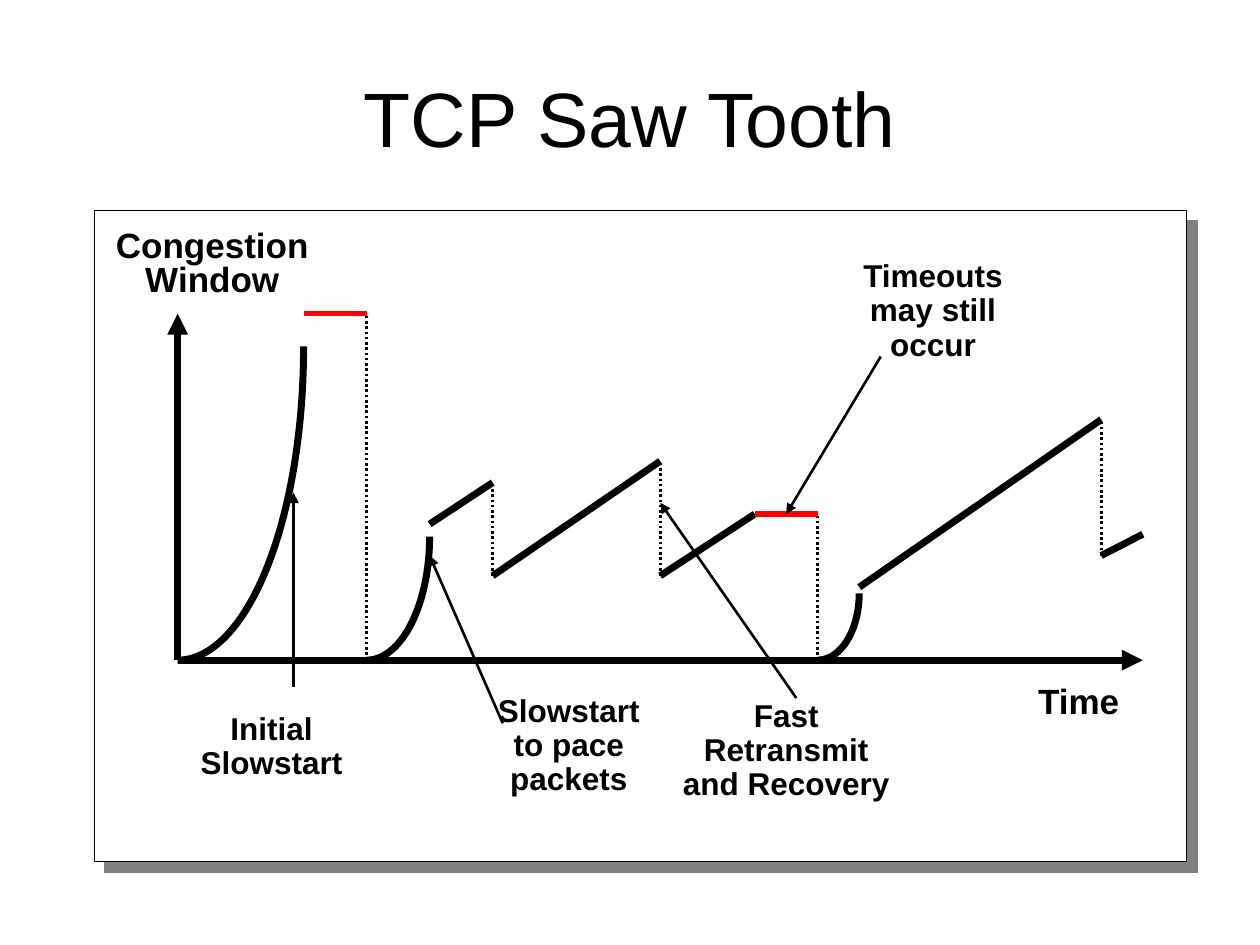
from lxml.etree import SubElement
from pptx import Presentation
from pptx.dml.color import RGBColor
from pptx.enum.dml import MSO_LINE
from pptx.enum.shapes import MSO_CONNECTOR, MSO_SHAPE
from pptx.enum.text import MSO_ANCHOR, MSO_AUTO_SIZE, PP_ALIGN
from pptx.oxml.ns import qn
from pptx.util import Inches, Pt

BLACK, RED, WHITE, GRAY = "000000", "FF0000", "FFFFFF", "808080"

# Time and window lengths are inches from the origin of the plot.
AXIS_TIME, AXIS_WINDOW = 7.66, 2.75
SLOWSTARTS = [(0, 1, 2.49), (1.5, 0.5, 0.98), (5.08, 0.33, 0.53)]  # start, duration, rise
GROWTH = [
    ((2, 1.08), (2.5, 1.41)),
    ((2.5, 0.67), (3.83, 1.58)),
    ((3.83, 0.67), (4.58, 1.16)),
    ((5.41, 0.58), (7.33, 1.91)),
    ((7.33, 0.83), (7.66, 1)),
]
TIMEOUTS = [((1, 2.75), (1.5, 2.75)), ((4.58, 1.16), (5.08, 1.16))]
DROPS = [(1.5, 2.75, 0), (2.5, 1.41, 0.67), (3.83, 1.58, 0.67),
         (5.08, 1.16, 0), (7.33, 1.91, 0.83)]  # time, window before, window after
CALLOUTS = [  # lines, text corner, text size, arrow start, arrow end
    (["Initial", "Slowstart"], (0.08, -0.37), (1.33, 0.64), (0.92, -0.21), (0.92, 1.33)),
    (["Slowstart", "to pace", "packets"], (2.44, -0.23), (1.33, 0.91), (2.58, -0.5), (2, 0.83)),
    (["Fast", "Retransmit", "and Recovery"], (3.91, -0.27), (1.84, 0.91), (4.91, -0.3), (3.83, 1.25)),
    (["Timeouts", "may still", "occur"], (5.34, 3.22), (1.31, 0.91), (5.58, 2.41), (4.83, 1.16)),
]


def color(hex_string):
    return RGBColor.from_string(hex_string)


def write(frame, lines, size, bold=False, align=PP_ALIGN.CENTER, spacing=1.0,
          anchor=MSO_ANCHOR.TOP, wrap=False):
    frame.word_wrap = wrap
    frame.auto_size = MSO_AUTO_SIZE.NONE
    frame.vertical_anchor = anchor
    for index, line in enumerate(lines):
        paragraph = frame.paragraphs[0] if index == 0 else frame.add_paragraph()
        paragraph.text = line
        paragraph.alignment = align
        paragraph.line_spacing = spacing
        font = paragraph.font
        font.name, font.size, font.bold = "Arial", Pt(size), bold
        font.color.rgb = color(BLACK)


def add_label(slide, lines, corner, extent, size, **text_format):
    box = slide.shapes.add_textbox(*map(Inches, corner + extent))
    write(box.text_frame, lines, size, bold=True, **text_format)


def add_line(slide, start, end, width, stroke=BLACK, dotted=False, arrow=False):
    connector = slide.shapes.add_connector(
        MSO_CONNECTOR.STRAIGHT, *map(Inches, start + end))
    connector.line.color.rgb = color(stroke)
    connector.line.width = Pt(width)
    if dotted:
        connector.line.dash_style = MSO_LINE.ROUND_DOT
    properties = connector._element.spPr
    if arrow:
        SubElement(properties.find(qn("a:ln")), qn("a:tailEnd"), type="triangle")
    SubElement(properties, qn("a:effectLst"))


def add_title(slide, left, top, width, height):
    title = slide.shapes.title
    title.left, title.top, title.width, title.height = map(
        Inches, (left, top, width, height))
    write(title.text_frame, ["TCP Saw Tooth"], 44, anchor=MSO_ANCHOR.MIDDLE, wrap=True)


def add_panel(slide, left, top, width, height):
    panel = slide.shapes.add_shape(
        MSO_SHAPE.RECTANGLE, *map(Inches, (left, top, width, height)))
    panel.fill.solid()
    panel.fill.fore_color.rgb = color(WHITE)
    panel.line.color.rgb = color(BLACK)
    panel.line.width = Pt(0.75)
    panel.shadow.inherit = False
    effects = panel._element.spPr.find(qn("a:effectLst"))
    shadow = SubElement(effects, qn("a:outerShdw"), blurRad="0", dist=str(Pt(8.5)),
                        dir="2700000", algn="tl", rotWithShape="0")
    SubElement(shadow, qn("a:srgbClr"), val=GRAY)


def add_slowstart(slide, left, top, width, height):
    """Draw the lower right quarter of an ellipse, run on a little past its side."""
    curve = slide.shapes.add_shape(
        MSO_SHAPE.ARC, *map(Inches, (left, top, width, height)))
    degree = 0.6  # one degree in adjustment units
    curve.adjustments[0] = -6 * degree
    curve.adjustments[1] = 90 * degree
    curve.fill.background()
    curve.line.color.rgb = color(BLACK)
    curve.line.width = Pt(4)
    curve.shadow.inherit = False


def add_saw_tooth(slide, left, top):
    """Plot the congestion window over time inside the panel at left, top."""
    def at(point):
        time, window = point
        return left + 0.66 + time, top + 3.57 - window

    for end in ((0, AXIS_WINDOW), (AXIS_TIME, 0)):
        add_line(slide, at((0, 0)), at(end), 4, arrow=True)
    add_label(slide, ["Time"], at((6.73, -0.1)), (0.85, 0.43), 20, align=PP_ALIGN.LEFT)
    add_label(slide, ["Congestion", "Window"], at((-0.59, 3.45)), (1.73, 0.63), 20,
              spacing=0.8)

    for start, end in GROWTH:
        add_line(slide, at(start), at(end), 4)
    for time, before, after in DROPS:
        add_line(slide, at((time, after)), at((time, before)), 1.5, dotted=True)
    for start, duration, rise in SLOWSTARTS:
        add_slowstart(slide, *at((start - duration, 2 * rise)), 2 * duration, 2 * rise)
    for start, end in TIMEOUTS:
        add_line(slide, at(start), at(end), 3, stroke=RED)
    for lines, corner, extent, start, end in CALLOUTS:
        add_line(slide, at(start), at(end), 1.5, arrow=True)
        add_label(slide, lines, at(corner), extent, 18, spacing=0.9)


def main():
    presentation = Presentation()
    presentation.slide_width, presentation.slide_height = Inches(10), Inches(7.5)
    slide = presentation.slides.add_slide(presentation.slide_layouts[5])
    panel_left, panel_top = 0.75, 1.67
    add_panel(slide, panel_left, panel_top, 8.67, 5.17)
    add_title(slide, 0.5, 0.3, 9, 1.25)
    add_saw_tooth(slide, panel_left, panel_top)
    presentation.save("out.pptx")


if __name__ == "__main__":
    main()
